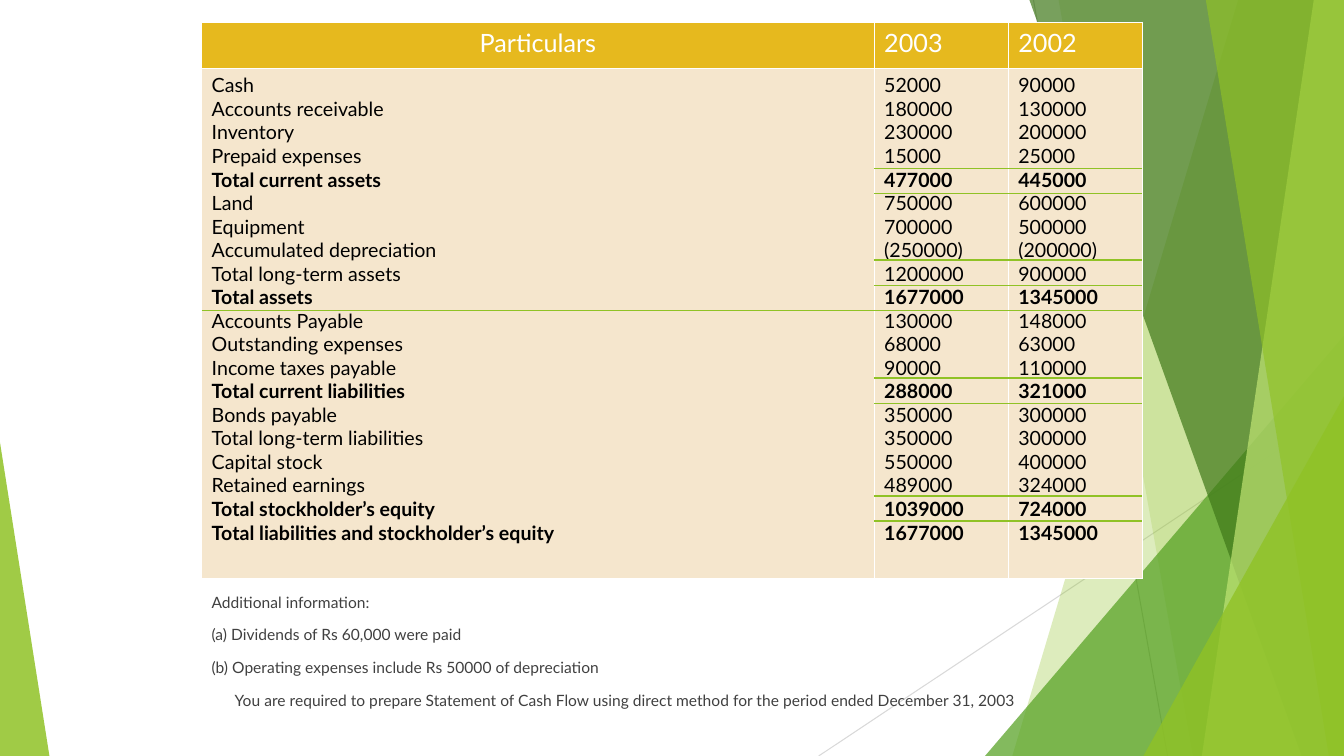
from lxml import etree
from pptx import Presentation
from pptx.dml.color import RGBColor
from pptx.enum import shapes as kinds, text as txt
from pptx.oxml import ns
from pptx.util import Inches, Pt

# Content
HEADS = ("Particulars", "2003", "2002")
ROWS = [
    ("Cash", "52000", "90000"),
    ("Accounts receivable", "180000", "130000"),
    ("Inventory", "230000", "200000"),
    ("Prepaid expenses", "15000", "25000"),
    ("Total current assets", "477000", "445000"),
    ("Land", "750000", "600000"),
    ("Equipment", "700000", "500000"),
    ("Accumulated depreciation", "(250000)", "(200000)"),
    ("Total long-term assets", "1200000", "900000"),
    ("Total assets", "1677000", "1345000"),
    ("Accounts Payable", "130000", "148000"),
    ("Outstanding expenses", "68000", "63000"),
    ("Income taxes payable", "90000", "110000"),
    ("Total current liabilities", "288000", "321000"),
    ("Bonds payable", "350000", "300000"),
    ("Total long-term liabilities", "350000", "300000"),
    ("Capital stock", "550000", "400000"),
    ("Retained earnings", "489000", "324000"),
    ("Total stockholder’s equity", "1039000", "724000"),
    ("Total liabilities and stockholder’s equity", "1677000", "1345000"),
]
BOLD = {"Total current assets", "Total assets", "Total current liabilities",
        "Total stockholder’s equity", "Total liabilities and stockholder’s equity"}
NOTES = [
    "Additional information:",
    "(a) Dividends of Rs 60,000 were paid",
    "(b) Operating expenses include Rs 50000 of depreciation",
    "You are required to prepare Statement of Cash Flow using direct method "
    "for the period ended December 31, 2003",
]

# Theme
THEME = {
    "font": "Lato", "head": 18, "body": 14, "note": 11.1,
    "white": "FFFFFF", "black": "000000", "grey": "404040",
    "gold": "E6B91E", "cream": "F5E6CD", "green": "90C226",
    "leaf": "54A021", "dark": "3F7819", "lime": "C0E474",
    "mid": "BFBFBF", "pale": "D9D9D9",
}

# Layout, in inches
WIDE, HIGH = 13.33, 7.5
LEFT, TOP = 2, 0.22
COLS, TALL = (6.67, 1.33, 1.33), (0.46, 5.06)
SPAN = sum(COLS)
RULES = (1.67, 1.92, 2.58, 2.83, 3.75, 4, 4.92, 5.17)
FULL = 3.08
# Background bands: top left, bottom left, colour, opacity
BACK = [(12.28, 10.04, "green", 30), (10.5, 11.83, "green", 20)]
FRONT = [(10.21, 12.91, "dark", 70), (13.03, 11.92, "lime", 70),
         (11.96, 13.18, "green", 65)]

deck = Presentation()
deck.slide_width, deck.slide_height = Inches(WIDE), Inches(HIGH)
slide = deck.slides.add_slide(deck.slide_layouts[6])
parts = slide.shapes


def tint(name):
    return RGBColor.from_string(THEME[name])


def write(frame, lines, size, color, bold=(), align=None, gap=0, hang=0):
    """Fill a text frame, one paragraph for each line."""
    frame.word_wrap = True
    for i, line in enumerate(lines):
        para = frame.paragraphs[0] if i == 0 else frame.add_paragraph()
        para.alignment = align or txt.PP_ALIGN.LEFT
        para.space_before = Pt(gap if i else 0)
        if hang:
            props = para._p.get_or_add_pPr()
            props.set("marL", str(Inches(hang)))
            props.set("indent", str(-Inches(hang)))
        run = para.add_run()
        run.text = line
        font = run.font
        font.name, font.size = THEME["font"], Pt(THEME[size])
        font.bold = i in bold
        font.color.rgb = tint(color)


def paint(shape, color, alpha):
    shape.shadow.inherit = False
    shape.line.fill.background()
    shape.fill.solid()
    shape.fill.fore_color.rgb = tint(color)
    tone = shape._element.spPr.find(".//" + ns.qn("a:srgbClr"))
    etree.SubElement(tone, ns.qn("a:alpha"), val=str(alpha * 1000))


def band(top, foot, color, alpha):
    pen = parts.build_freeform(Inches(top), 0)
    edge = [(WIDE, 0), (WIDE, HIGH), (foot, HIGH)]
    pen.add_line_segments([(Inches(x), Inches(y)) for x, y in edge])
    paint(pen.convert_to_shape(), color, alpha)


def wedge(x, y, wide, high, tip, color, alpha):
    shape = parts.add_shape(kinds.MSO_SHAPE.ISOSCELES_TRIANGLE,
                            *map(Inches, (x, y, wide, high)))
    shape.adjustments[0] = tip
    paint(shape, color, alpha)


def rule(x1, y1, x2, y2, color="green", width=1):
    line = parts.add_connector(kinds.MSO_CONNECTOR.STRAIGHT,
                               *map(Inches, (x1, y1, x2, y2)))
    line.line.color.rgb = tint(color)
    line.line.width = Pt(width)
    etree.SubElement(line._element.spPr, ns.qn("a:effectLst"))


def frame_cell(cell, color):
    """Set the cell's fill and its white borders."""
    cell.fill.solid()
    cell.fill.fore_color.rgb = tint(color)
    props = cell._tc.get_or_add_tcPr()
    for i, side in enumerate(("lnL", "lnR", "lnT", "lnB")):
        edge = etree.Element(ns.qn("a:" + side), w=str(Pt(1)))
        fill = etree.SubElement(edge, ns.qn("a:solidFill"))
        etree.SubElement(fill, ns.qn("a:srgbClr"), val=THEME["white"])
        props.insert(i, edge)


# Background
rule(10.25, 0, 11.58, HIGH, "mid", 0.75)
rule(WIDE, 4.03, 8.12, HIGH, "pale", 0.75)
for item in BACK:
    band(*item)
wedge(9.77, 3.33, 3.56, 4.17, 1, "leaf", 72)
for item in FRONT:
    band(*item)
wedge(11.34, 3.93, 1.99, 3.57, 1, "green", 80)
wedge(0, 4.39, 0.49, 3.11, 0, "green", 85)

# Balance sheet
grid = parts.add_table(2, len(COLS), *map(Inches, (LEFT, TOP, SPAN, sum(TALL)))).table
grid.horz_banding = False
for row, high in zip(grid.rows, TALL):
    row.height = Inches(high)
strong = {i for i, row in enumerate(ROWS) if row[0] in BOLD}
for i, (head, lines) in enumerate(zip(HEADS, zip(*ROWS))):
    grid.columns[i].width = Inches(COLS[i])
    top, body = grid.cell(0, i), grid.cell(1, i)
    frame_cell(top, "gold")
    frame_cell(body, "cream")
    write(top.text_frame, [head], "head", "white",
          align=None if i else txt.PP_ALIGN.CENTER)
    write(body.text_frame, lines, "body", "black", bold=strong)

# Rules around the totals
for y in RULES:
    rule(LEFT + COLS[0], y, LEFT + SPAN, y)
rule(LEFT, FULL, LEFT + SPAN, FULL)

# Notes
box = parts.add_textbox(*map(Inches, (LEFT, 5.83, SPAN, 1.12))).text_frame
write(box, NOTES, "note", "grey", gap=10, hang=0.38)
box.paragraphs[-1]._p.pPr.set("indent", str(-Inches(0.15)))

deck.save("out.pptx")
